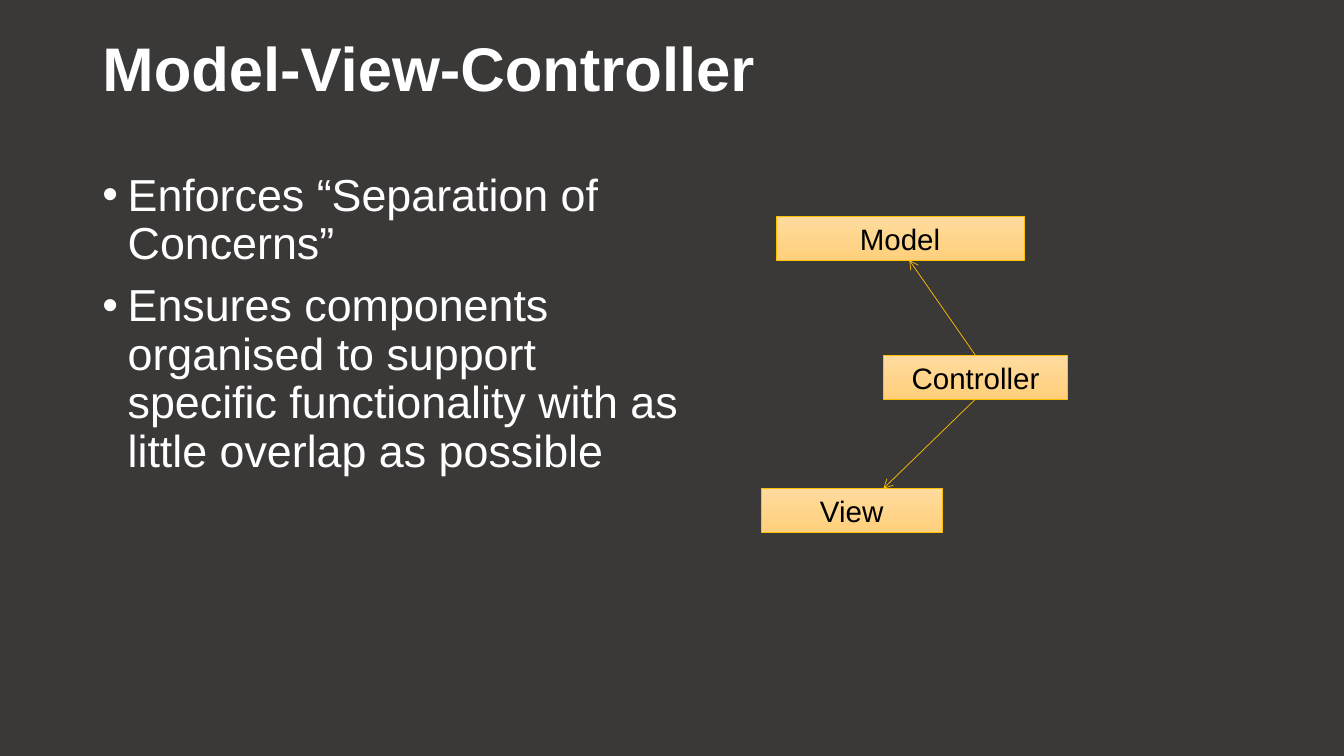
from dataclasses import dataclass

from lxml.etree import SubElement
from pptx import Presentation
from pptx.dml.color import RGBColor as RGB
from pptx.enum.shapes import MSO_CONNECTOR as CONNECTOR, MSO_SHAPE as SHAPE
from pptx.enum.text import MSO_ANCHOR as ANCHOR, MSO_AUTO_SIZE as AUTO_SIZE, PP_ALIGN as ALIGN
from pptx.oxml.ns import qn
from pptx.util import Pt


@dataclass(frozen=True)
class Theme:
    font: str = "Arial"
    background: RGB = RGB(0x3B, 0x38, 0x38)
    text: RGB = RGB(0xFF, 0xFF, 0xFF)
    box_text: RGB = RGB(0x00, 0x00, 0x00)
    box_top: RGB = RGB(0xFF, 0xDB, 0x9E)
    box_bottom: RGB = RGB(0xFF, 0xD0, 0x7C)
    line: RGB = RGB(0xFF, 0xC0, 0x00)
    title_size: float = 44
    body_size: float = 32
    box_size: float = 21.1
    line_width: float = 0.5


THEME = Theme()
BOX_HEIGHT = 31
TOP, BOTTOM = 0, 2  # connection sites of a rectangle


def place(shape, left, top, width, height):
    shape.left, shape.top = Pt(left), Pt(top)
    shape.width, shape.height = Pt(width), Pt(height)


def format_runs(paragraph, size, color, bold=False):
    for run in paragraph.runs:
        font = run.font
        font.name, font.size, font.bold = THEME.font, Pt(size), bold
        font.color.rgb = color


def add_title(slide, text):
    title = slide.shapes.title
    place(title, 66, 13, 828, 75.6)
    frame = title.text_frame
    frame.text = text
    frame.auto_size = AUTO_SIZE.NONE
    frame.vertical_anchor = ANCHOR.MIDDLE
    heading = frame.paragraphs[0]
    heading.alignment = ALIGN.LEFT
    heading.line_spacing = 0.9
    format_runs(heading, THEME.title_size, THEME.text, bold=True)


def add_bullets(slide, points):
    body = slide.placeholders[1]
    place(body, 66, 119.5, 431.3, 342.7)
    frame = body.text_frame
    frame.text = "\n".join(points)
    frame.auto_size = AUTO_SIZE.NONE
    for index, point in enumerate(frame.paragraphs):
        properties = point._p.get_or_add_pPr()
        properties.set("marL", str(Pt(18)))
        properties.set("indent", str(Pt(-18)))
        SubElement(properties, qn("a:buChar")).set("char", "•")
        point.line_spacing = 0.9
        point.space_before = Pt(10 if index else 0)
        format_runs(point, THEME.body_size, THEME.text)


def add_component(slide, name, left, top, width):
    box = slide.shapes.add_shape(SHAPE.RECTANGLE, Pt(left), Pt(top), Pt(width), Pt(BOX_HEIGHT))
    box.shadow.inherit = False
    box.fill.gradient()
    box.fill.gradient_angle = 270
    for stop, color in zip(box.fill.gradient_stops, (THEME.box_top, THEME.box_bottom)):
        stop.color.rgb = color
    box.line.color.rgb = THEME.line
    box.line.width = Pt(THEME.line_width)
    frame = box.text_frame
    frame.text = name
    frame.word_wrap = True
    frame.vertical_anchor = ANCHOR.MIDDLE
    frame.margin_left = frame.margin_right = frame.margin_top = frame.margin_bottom = Pt(3)
    label = frame.paragraphs[0]
    label.alignment = ALIGN.CENTER
    format_runs(label, THEME.box_size, THEME.box_text)
    return box


def add_arrow(slide, source, site, x, y):
    """Draw an arrow from a side of the source box to a point."""
    arrow = slide.shapes.add_connector(CONNECTOR.STRAIGHT, source.left, source.top, Pt(x), Pt(y))
    arrow.begin_connect(source, site)
    arrow.line.color.rgb = THEME.line
    arrow.line.width = Pt(THEME.line_width)
    SubElement(arrow.line._get_or_add_ln(), qn("a:tailEnd")).set("type", "arrow")
    SubElement(arrow._element.spPr, qn("a:effectLst"))


def main():
    deck = Presentation()
    deck.slide_width, deck.slide_height = Pt(960), Pt(540)
    slide = deck.slides.add_slide(deck.slide_layouts[1])
    slide.background.fill.solid()
    slide.background.fill.fore_color.rgb = THEME.background

    # Title and list
    add_title(slide, "Model-View-Controller")
    add_bullets(slide, [
        "Enforces “Separation of Concerns”",
        "Ensures components organised to support specific functionality with as little overlap as possible",
    ])

    # Components
    model_top, view_top = 154.8, 349
    add_component(slide, "Model", 554.4, model_top, 177)
    add_component(slide, "View", 543.6, view_top, 129.6)
    controller = add_component(slide, "Controller", 631, 254, 131.8)

    # Arrows from the controller to the others
    add_arrow(slide, controller, TOP, 649.5, model_top + BOX_HEIGHT)
    add_arrow(slide, controller, BOTTOM, 631, view_top)

    deck.save("out.pptx")


if __name__ == "__main__":
    main()
